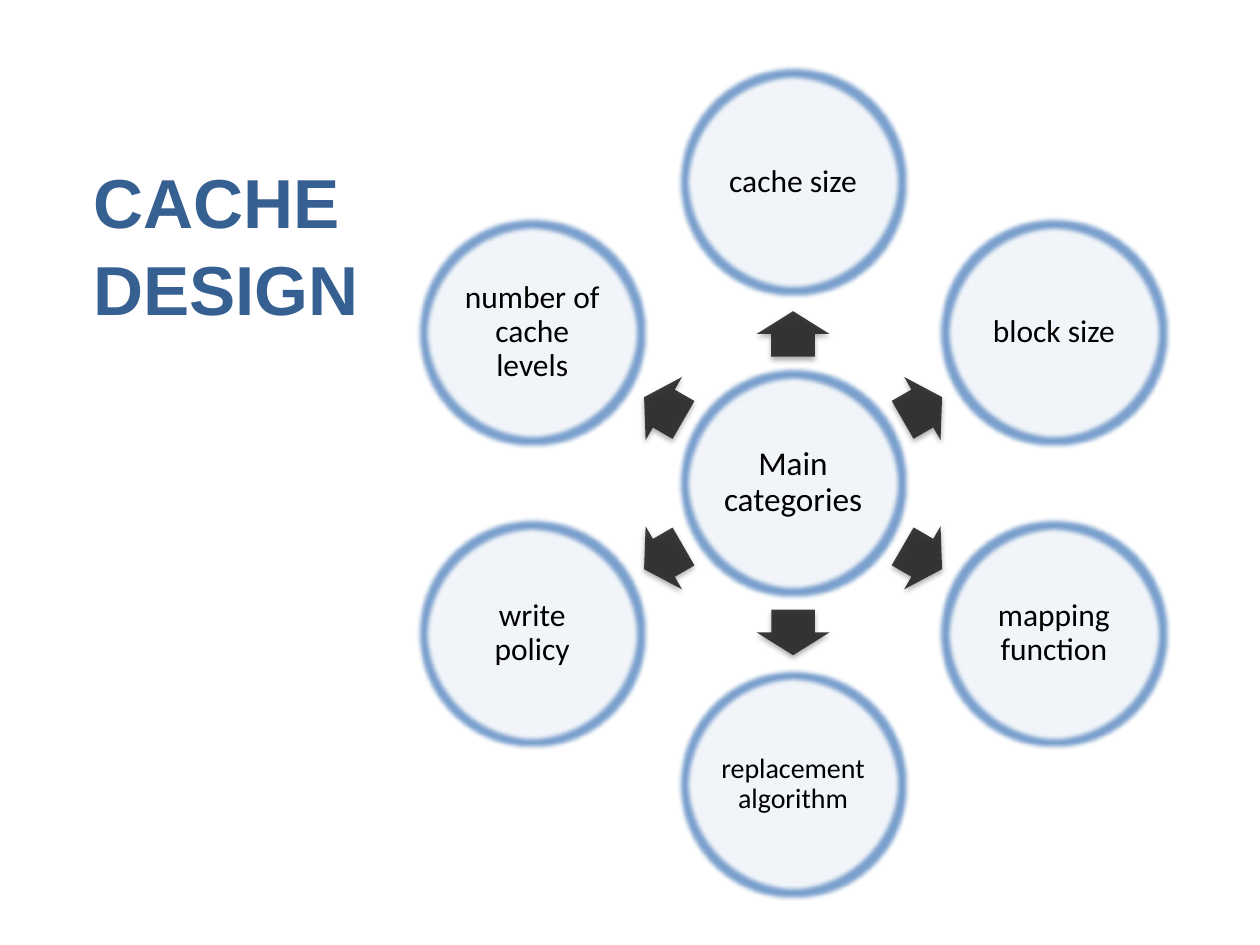
"""Build the cache design slide: a hub circle with six categories around it."""
from dataclasses import dataclass
from math import cos, radians, sin

from lxml.etree import SubElement
from pptx import Presentation
from pptx.dml.color import RGBColor
from pptx.enum.shapes import MSO_SHAPE
from pptx.enum.text import MSO_ANCHOR, PP_ALIGN
from pptx.oxml.ns import qn
from pptx.util import Pt


@dataclass(frozen=True)
class Theme:
    title_color: str = "376092"
    text_color: str = "000000"
    circle_fill: str = "FFFFFF"
    accent: str = "4F81BD"
    arrow_fill: str = "262626"
    shadow: str = "000000"
    title_font: str = "Arial"
    label_font: str = "Calibri"
    title_size: float = 39.6
    hub_size: float = 19
    label_size: float = 18
    small_size: float = 16


@dataclass(frozen=True)
class Category:
    label: str
    angle: int
    size: float


THEME = Theme()
HUB_X, HUB_Y = 453.2, 276.1
CIRCLE_DIAMETER = 123.1
LABEL_SIDE = 87.2
ORBIT = 172.1
ARROW_ORBIT = 85.3
ARROW_LENGTH, ARROW_WIDTH = 26, 41.6

CATEGORIES = [
    Category("cache size", 270, THEME.label_size),
    Category("block size", 330, THEME.label_size),
    Category("mapping function", 30, THEME.label_size),
    Category("replacement algorithm", 90, THEME.small_size),
    Category("write policy", 150, THEME.label_size),
    Category("number of cache levels", 210, THEME.label_size),
]


def around_hub(angle: int, distance: float) -> tuple[float, float]:
    """Return the point at an angle and distance from the hub."""
    turn = radians(angle)
    return HUB_X + distance * cos(turn), HUB_Y + distance * sin(turn)


def frame(x: float, y: float, width: float, height: float) -> list[Pt]:
    """Return left, top, width and height for a box centred on a point."""
    return [Pt(round(value, 2)) for value in (x - width / 2, y - height / 2, width, height)]


def add_color(parent, color: str, opacity: int) -> None:
    """Add a colour with opacity in percent to an effect."""
    tint = SubElement(parent, qn("a:srgbClr"), val=color)
    SubElement(tint, qn("a:alpha"), val=str(opacity * 1000))


def make_translucent(fill_element) -> None:
    """Give a solid fill ninety percent opacity."""
    SubElement(fill_element.find(qn("a:solidFill"))[0], qn("a:alpha"), val="90000")


def add_effects(shape):
    """Replace inherited effects and return the shape's effect list."""
    shape.shadow.inherit = False
    return shape._element.spPr.find(qn("a:effectLst"))


def add_text(slide, box: list[Pt], text: str, inset: float, layout: dict, style: dict, color: str) -> None:
    """Add a wrapped text box with paragraph and font formats."""
    body = slide.shapes.add_textbox(*box).text_frame
    body.word_wrap = True
    for side in ("left", "top", "right", "bottom"):
        setattr(body, f"margin_{side}", Pt(inset))
    body.vertical_anchor = layout["anchor"]
    paragraph = body.paragraphs[0]
    paragraph.alignment = layout["alignment"]
    paragraph.line_spacing = layout["spacing"]
    run = paragraph.add_run()
    run.text = text
    for name, value in style.items():
        setattr(run.font, name, value)
    run.font.color.rgb = RGBColor.from_string(color)


def add_circle(slide, x: float, y: float, label: str, size: float) -> None:
    """Draw a glowing, soft-edged circle with its label."""
    circle = slide.shapes.add_shape(MSO_SHAPE.OVAL, *frame(x, y, CIRCLE_DIAMETER, CIRCLE_DIAMETER))
    circle.fill.solid()
    circle.fill.fore_color.rgb = RGBColor.from_string(THEME.circle_fill)
    circle.line.color.rgb = RGBColor.from_string(THEME.accent)
    circle.line.width = Pt(0.75)
    properties = circle._element.spPr
    make_translucent(properties)
    make_translucent(properties.find(qn("a:ln")))
    effects = add_effects(circle)
    add_color(SubElement(effects, qn("a:glow"), rad=str(Pt(5))), THEME.accent, 75)
    SubElement(effects, qn("a:softEdge"), rad=str(Pt(2.5)))
    layout = {"anchor": MSO_ANCHOR.MIDDLE, "alignment": PP_ALIGN.CENTER, "spacing": 0.9}
    style = {"name": THEME.label_font, "size": Pt(size)}
    add_text(slide, frame(x, y, LABEL_SIDE, LABEL_SIDE), label, 2, layout, style, THEME.text_color)


def add_arrow(slide, angle: int) -> None:
    """Draw an arrow pointing away from the hub."""
    x, y = around_hub(angle, ARROW_ORBIT)
    arrow = slide.shapes.add_shape(MSO_SHAPE.RIGHT_ARROW, *frame(x, y, ARROW_LENGTH, ARROW_WIDTH))
    arrow.adjustments[0], arrow.adjustments[1] = 0.6, 0.5
    arrow.rotation = angle
    arrow.fill.solid()
    arrow.fill.fore_color.rgb = RGBColor.from_string(THEME.arrow_fill)
    arrow.line.fill.background()
    make_translucent(arrow._element.spPr)
    shadow = SubElement(add_effects(arrow), qn("a:outerShdw"), blurRad=str(Pt(3.1)),
                        dist=str(Pt(1.8)), dir="5400000", rotWithShape="0")
    add_color(shadow, THEME.shadow, 35)


def main() -> None:
    """Build and save the slide."""
    deck = Presentation()
    deck.slide_width, deck.slide_height = Pt(720), Pt(540)
    slide = deck.slides.add_slide(deck.slide_layouts[6])
    layout = {"anchor": MSO_ANCHOR.TOP, "alignment": PP_ALIGN.LEFT, "spacing": 1.04}
    style = {"name": THEME.title_font, "size": Pt(THEME.title_size), "bold": True}
    title_box = [Pt(value) for value in (48.2, 84.2, 176.4, 149.8)]
    add_text(slide, title_box, "CACHE DESIGN", 5, layout, style, THEME.title_color)
    add_circle(slide, HUB_X, HUB_Y, "Main categories", THEME.hub_size)
    for category in CATEGORIES:
        add_arrow(slide, category.angle)
        add_circle(slide, *around_hub(category.angle, ORBIT), category.label, category.size)
    deck.save("out.pptx")


if __name__ == "__main__":
    main()
